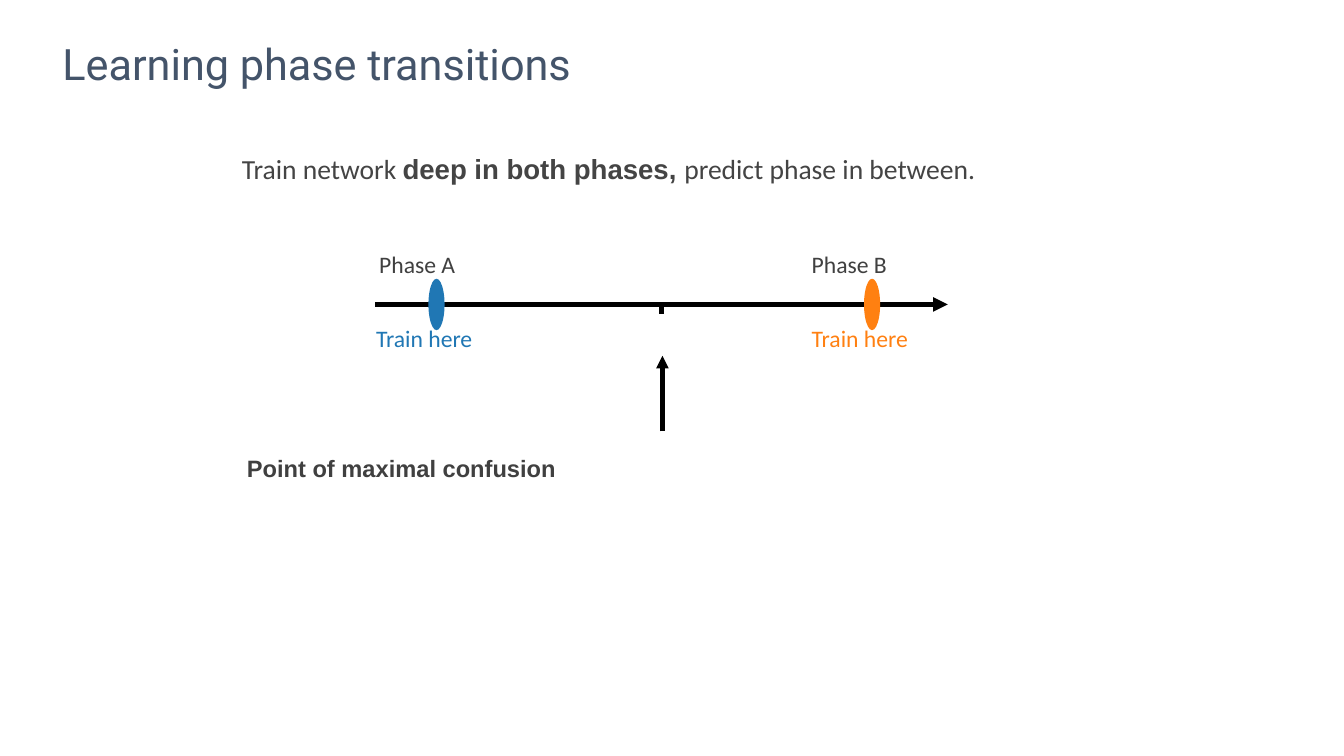
from dataclasses import dataclass

import pptx
import pptx.dml.color
import pptx.enum.shapes
import pptx.enum.text
import pptx.oxml
import pptx.oxml.ns
import pptx.util


@dataclass(frozen=True)
class Theme:
    title_color: str = "44546A"
    sentence_color: str = "444444"
    label_color: str = "404040"
    line_color: str = "000000"
    phase_a_color: str = "2077B4"
    phase_b_color: str = "FF8011"
    title_size: float = 30.9
    sentence_size: float = 19.7
    label_size: float = 16.9
    title_font: str = "Roboto"
    body_font: str = "Calibri"
    strong_font: str = "Arial"


@dataclass(frozen=True)
class Box:
    """Left, top, width and height in percent of the slide's size."""
    left: float
    top: float
    width: float
    height: float


@dataclass(frozen=True)
class Run:
    text: str
    bold: bool = False


@dataclass(frozen=True)
class Phase:
    name: str
    name_left: float
    train_left: float
    marker_center: float
    color: str


THEME = Theme()
SLIDE_WIDTH = pptx.util.Inches(13.33)
SLIDE_HEIGHT = pptx.util.Inches(7.5)
AXIS_Y = 40.27
AXIS_START, AXIS_END = 27.91, 70.52
AXIS_MIDDLE = (AXIS_START + AXIS_END) / 2
MARKER_WIDTH, MARKER_HEIGHT = 1.2, 6.8
PHASES = (
    Phase("Phase A", 27.91, 27.68, 32.48, THEME.phase_a_color),
    Phase("Phase B", 60.09, 60.09, 64.89, THEME.phase_b_color),
)


def across(percent: float) -> int:
    return round(SLIDE_WIDTH * percent / 100)


def down(percent: float) -> int:
    return round(SLIDE_HEIGHT * percent / 100)


def color_of(value: str) -> pptx.dml.color.RGBColor:
    return pptx.dml.color.RGBColor.from_string(value)


def place(shape, box: Box) -> None:
    shape.left, shape.top = across(box.left), down(box.top)
    shape.width, shape.height = across(box.width), down(box.height)


def write_text(shape, *runs: Run, size: float, color: str, inset: float = 0.04,
               font: str = THEME.body_font, line_spacing: float = 1.0,
               auto_size=pptx.enum.text.MSO_AUTO_SIZE.SHAPE_TO_FIT_TEXT) -> None:
    frame = shape.text_frame
    frame.word_wrap = True
    frame.auto_size = auto_size
    frame.vertical_anchor = pptx.enum.text.MSO_ANCHOR.MIDDLE
    frame.margin_left = frame.margin_right = pptx.util.Inches(inset)
    frame.margin_top = frame.margin_bottom = pptx.util.Inches(inset)
    paragraph = frame.paragraphs[0]
    paragraph.alignment = pptx.enum.text.PP_ALIGN.LEFT
    paragraph.line_spacing = line_spacing
    for part in runs:
        run = paragraph.add_run()
        run.text = part.text
        run.font.size = pptx.util.Pt(size)
        run.font.name = THEME.strong_font if part.bold else font
        run.font.bold = part.bold
        run.font.color.rgb = color_of(color)


def add_text(slide, box: Box, *runs: Run, **text_format) -> None:
    shape = slide.shapes.add_textbox(0, 0, 0, 0)
    place(shape, box)
    write_text(shape, *runs, **text_format)


def add_line(shapes, start: tuple[float, float], end: tuple[float, float],
             width: float, arrow: bool = False) -> None:
    connector = shapes.add_connector(
        pptx.enum.shapes.MSO_CONNECTOR.STRAIGHT,
        across(start[0]), down(start[1]), across(end[0]), down(end[1]))
    connector.line.width = pptx.util.Pt(width)
    connector.line.color.rgb = color_of(THEME.line_color)
    if arrow:
        tail = pptx.oxml.parse_xml(
            f'<a:tailEnd {pptx.oxml.ns.nsdecls("a")} type="triangle"/>')
        connector.line._get_or_add_ln().append(tail)
    properties = connector._element.spPr
    properties.append(pptx.oxml.parse_xml(
        f'<a:effectLst {pptx.oxml.ns.nsdecls("a")}/>'))


def add_axis(slide) -> None:
    group = slide.shapes.add_group_shape()
    add_line(group.shapes, (AXIS_START, AXIS_Y), (AXIS_END, AXIS_Y), 3.5, arrow=True)
    add_line(group.shapes, (AXIS_MIDDLE, AXIS_Y), (AXIS_MIDDLE, AXIS_Y + 1.2), 3.5)


def add_phase(slide, phase: Phase) -> None:
    add_text(slide, Box(phase.name_left, 32.53, 8.48, 4.8), Run(phase.name),
             size=THEME.label_size, color=THEME.label_color)
    add_text(slide, Box(phase.train_left, 42.27, 9.08, 4.8), Run("Train here"),
             size=THEME.label_size, color=phase.color)
    marker = slide.shapes.add_shape(pptx.enum.shapes.MSO_SHAPE.OVAL, 0, 0, 0, 0)
    place(marker, Box(phase.marker_center - MARKER_WIDTH / 2,
                      AXIS_Y - MARKER_HEIGHT / 2, MARKER_WIDTH, MARKER_HEIGHT))
    marker.shadow.inherit = False
    marker.fill.solid()
    marker.fill.fore_color.rgb = color_of(phase.color)
    marker.line.fill.background()


def main() -> None:
    presentation = pptx.Presentation()
    presentation.slide_width = SLIDE_WIDTH
    presentation.slide_height = SLIDE_HEIGHT
    slide = presentation.slides.add_slide(
        presentation.slide_layouts.get_by_name("Title Only"))

    title = slide.shapes.title
    place(title, Box(4.65, 1.87, 89.42, 13.73))
    write_text(title, Run("Learning phase transitions"), size=THEME.title_size,
               color=THEME.title_color, font=THEME.title_font, inset=0,
               line_spacing=0.9, auto_size=pptx.enum.text.MSO_AUTO_SIZE.NONE)

    add_axis(slide)
    for phase in PHASES:
        add_phase(slide, phase)

    add_text(slide, Box(17.78, 19.73, 62.79, 5.2),
             Run("Train network "), Run("deep in both phases, ", bold=True),
             Run("predict phase in between."),
             size=THEME.sentence_size, color=THEME.sentence_color, inset=0.03)
    add_text(slide, Box(18.15, 59.6, 62.79, 4.53),
             Run("Point of maximal confusion", bold=True),
             size=THEME.label_size, color=THEME.label_color, inset=0.03)
    add_line(slide.shapes, (49.29, 57.07), (49.29, 47.07), 3, arrow=True)

    presentation.save("out.pptx")


if __name__ == "__main__":
    main()
